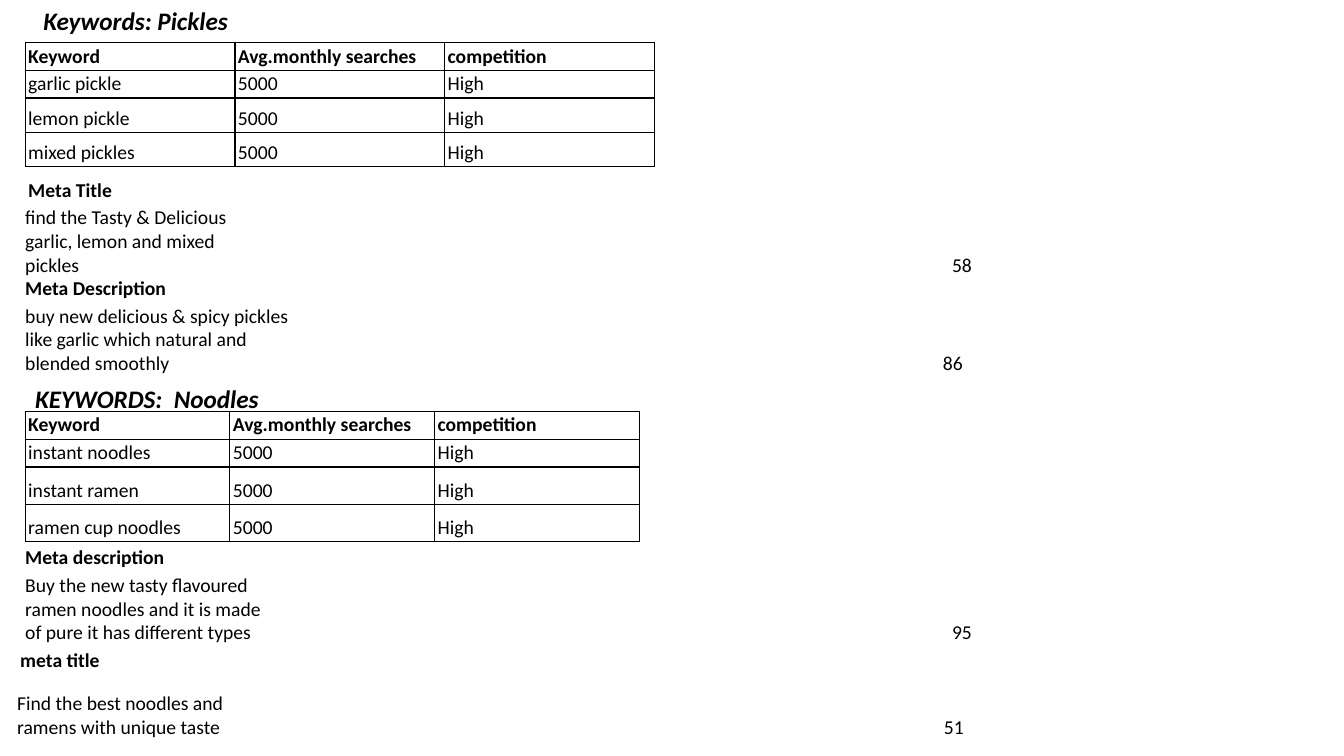
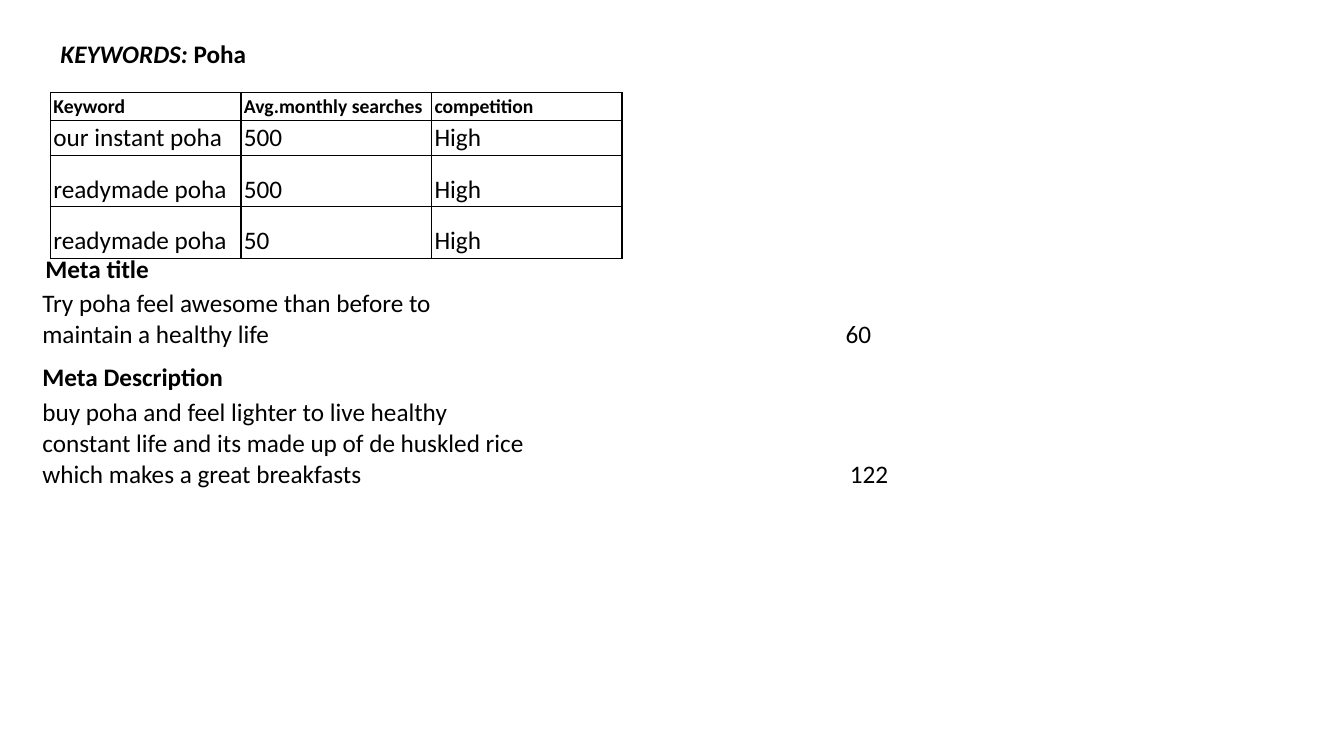
from lxml.etree import SubElement
from pptx import Presentation
from pptx.dml.color import RGBColor
from pptx.enum.text import MSO_ANCHOR, MSO_AUTO_SIZE, PP_ALIGN
from pptx.oxml.ns import qn
from pptx.util import Inches, Pt

# Shared style
BLACK = RGBColor(0x00, 0x00, 0x00)
WHITE = RGBColor(0xFF, 0xFF, 0xFF)
FONT = "Calibri"
HEADING_SIZE = 18
PLAIN_TABLE_STYLE = "{2D5ABB26-0587-4C30-8999-92F81FD0307C}"
TITLE_ONLY = 5
CELL_INSET = 0.03
KEYWORD_HEADER = ("Keyword", "Avg.monthly searches", "competition")
EVEN_COLUMNS = (2.35, 2.36, 2.35, 2.36)


def style_font(font, size, bold=False):
    font.name = FONT
    font.size = Pt(size)
    font.bold = bold
    font.color.rgb = BLACK


def write_heading(box, left, top, *parts):
    """Fill a title or text box with (text, italic) parts."""
    box.left, box.top = Inches(left), Inches(top)
    box.width, box.height = Inches(2.5), Inches(0.4)
    frame = box.text_frame
    frame.word_wrap = True
    frame.auto_size = MSO_AUTO_SIZE.NONE
    frame.vertical_anchor = MSO_ANCHOR.TOP
    paragraph = frame.paragraphs[0]
    paragraph.alignment = PP_ALIGN.LEFT
    style_font(paragraph.font, HEADING_SIZE, bold=True)
    for text, italic in parts:
        run = paragraph.add_run()
        run.text = text
        run.font.italic = italic


def add_plain_table(slide, left, top, widths, heights):
    frame = slide.shapes.add_table(
        len(heights), len(widths), Inches(left), Inches(top),
        Inches(sum(widths)), Inches(sum(heights)))
    table = frame.table
    table.first_row = table.horz_banding = False
    table._tbl.tblPr.find(qn("a:tableStyleId")).text = PLAIN_TABLE_STYLE
    for column, width in zip(table.columns, widths):
        column.width = Inches(width)
    for row, height in zip(table.rows, heights):
        row.height = Inches(height)
    return table


def write_cell(cell, text, size, bold=False, inset=CELL_INSET, align=PP_ALIGN.LEFT):
    cell.fill.background()
    cell.vertical_anchor = MSO_ANCHOR.BOTTOM
    cell.margin_left = cell.margin_right = Inches(inset)
    cell.margin_top = cell.margin_bottom = Inches(0.02)
    cell.text = text
    paragraph = cell.text_frame.paragraphs[0]
    paragraph.alignment = align
    style_font(paragraph.font, size, bold)
    if not text:
        # An empty cell takes its line height from the end mark
        end_mark = SubElement(paragraph._p, qn("a:endParaRPr"))
        end_mark.set("sz", str(size * 100))


def outline_cell(cell):
    properties = cell._tc.get_or_add_tcPr()
    for position, side in enumerate(("lnL", "lnR", "lnT", "lnB")):
        line = SubElement(properties, qn(f"a:{side}"), w=str(Pt(1)))
        fill = SubElement(line, qn("a:solidFill"))
        SubElement(fill, qn("a:srgbClr"), val=str(BLACK))
        properties.insert(position, line)  # borders come before the fill


def add_keyword_table(slide, left, top, column_width, heights, keywords, size=14):
    """Outlined grid: keyword, monthly searches, competition."""
    table = add_plain_table(slide, left, top, (column_width,) * 3, heights)
    for r, values in enumerate((KEYWORD_HEADER, *keywords)):
        is_header = r == 0
        for c, value in enumerate(values):
            cell = table.cell(r, c)
            write_cell(cell, value, 14 if is_header else size, bold=is_header)
            outline_cell(cell)


def add_meta_table(slide, left, top, widths, heights, label, text, length,
                   size=14, label_inset=0):
    """Bold label over a text, with the text's length at the right."""
    table = add_plain_table(slide, left, top, widths, heights)
    last = len(widths) - 1
    for r in range(len(heights)):
        for c in range(1, last + 1):
            is_length = (r, c) == (1, last)
            write_cell(table.cell(r, c), length if is_length else "", size,
                       align=PP_ALIGN.RIGHT if is_length else PP_ALIGN.LEFT)
    write_cell(table.cell(0, 0), label, size, bold=True, inset=label_inset)
    write_cell(table.cell(1, 0), text, size, inset=0)


def add_blank_table(slide, left, top, width, height):
    """One white cell at the slide's edge."""
    cell = add_plain_table(slide, left, top, (width,), (height,)).cell(0, 0)
    cell.fill.solid()
    cell.fill.fore_color.rgb = WHITE


def build_pickles_and_noodles(slide):
    # Pickles
    write_heading(slide.shapes.title, 0.33, 0, ("Keywords: Pickles", True))
    add_keyword_table(
        slide, 0.25, 0.42, 2.08, (0.27, 0.27, 0.34, 0.34),
        [(name, "5000", "High")
         for name in ("garlic pickle", "lemon pickle", "mixed pickles")])
    add_blank_table(slide, 12.97, 4.25, 0.36, 0.6)
    add_meta_table(
        slide, 0.25, 1.75, EVEN_COLUMNS, (0.27, 0.75), "Meta Title",
        "find the Tasty & Delicious garlic, lemon and mixed pickles", "58",
        label_inset=CELL_INSET)
    add_meta_table(
        slide, 0.25, 2.67, (2.8, 1.87, 2.33, 2.33), (0.33, 0.74), "Meta Description",
        "buy new delicious & spicy pickles like garlic which natural and "
        "blended smoothly", "86")

    # Noodles
    noodles_heading = slide.shapes.add_textbox(0, 0, 0, 0)
    write_heading(noodles_heading, 0.25, 3.75, ("KEYWORDS:  Noodles", True))
    add_keyword_table(
        slide, 0.25, 4.08, 2.03, (0.27, 0.27, 0.37, 0.37),
        [(name, "5000", "High")
         for name in ("instant noodles", "instant ramen", "ramen cup noodles")])
    add_meta_table(
        slide, 0.25, 5.25, EVEN_COLUMNS, (0.42, 0.74), "Meta description",
        "Buy the new tasty flavoured ramen noodles and it is made of pure "
        "it has different types", "95")
    add_meta_table(
        slide, 0.17, 6.42, EVEN_COLUMNS, (0.27, 0.66), "meta title",
        "Find the best noodles and ramens with unique taste", "51",
        label_inset=CELL_INSET)


def build_poha(slide):
    write_heading(slide.shapes.title, 0.5, 0.33, ("KEYWORDS: ", True), ("Poha", False))
    add_keyword_table(
        slide, 0.5, 0.92, 1.89, (0.27, 0.34, 0.51, 0.51),
        [("our instant poha", "500", "High"),
         ("readymade poha", "500", "High"),
         ("readymade poha", "50", "High")], size=18)
    add_meta_table(
        slide, 0.42, 2.5, (4, 1.25, 1.17, 1.83), (0.34, 0.64), "Meta title",
        "Try poha feel awesome than before to maintain a healthy life", "60",
        size=18, label_inset=CELL_INSET)
    add_meta_table(
        slide, 0.42, 3.58, (4.83, 1.25, 0.47, 1.87), (0.34, 0.94), "Meta Description",
        "buy poha and feel lighter to live healthy constant life and its made up "
        "of de huskled rice which makes a great breakfasts", "122", size=18)


def main():
    deck = Presentation()
    deck.slide_width, deck.slide_height = Inches(13.33), Inches(7.5)
    for build in (build_pickles_and_noodles, build_poha):
        build(deck.slides.add_slide(deck.slide_layouts[TITLE_ONLY]))
    deck.save("out.pptx")


if __name__ == "__main__":
    main()
